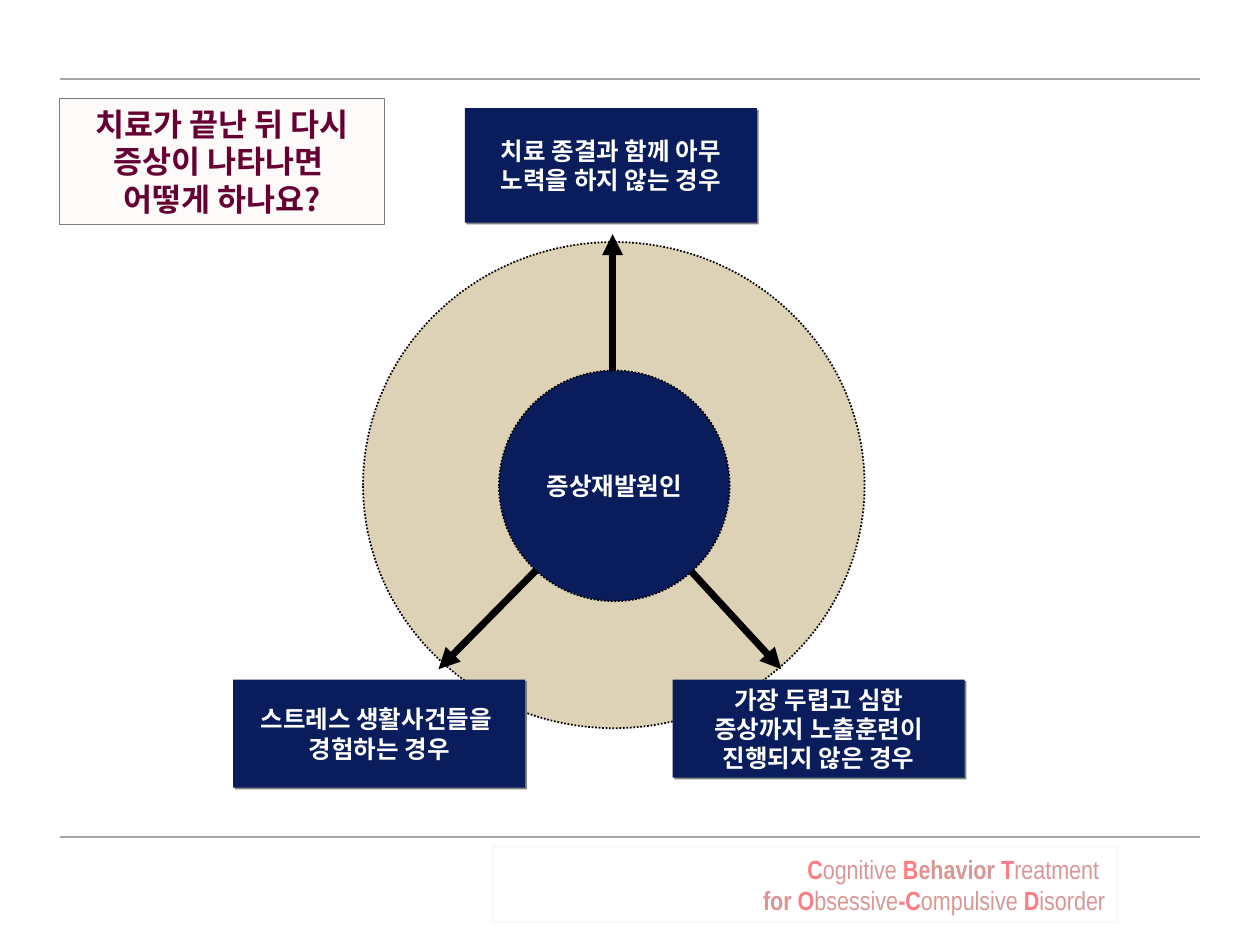
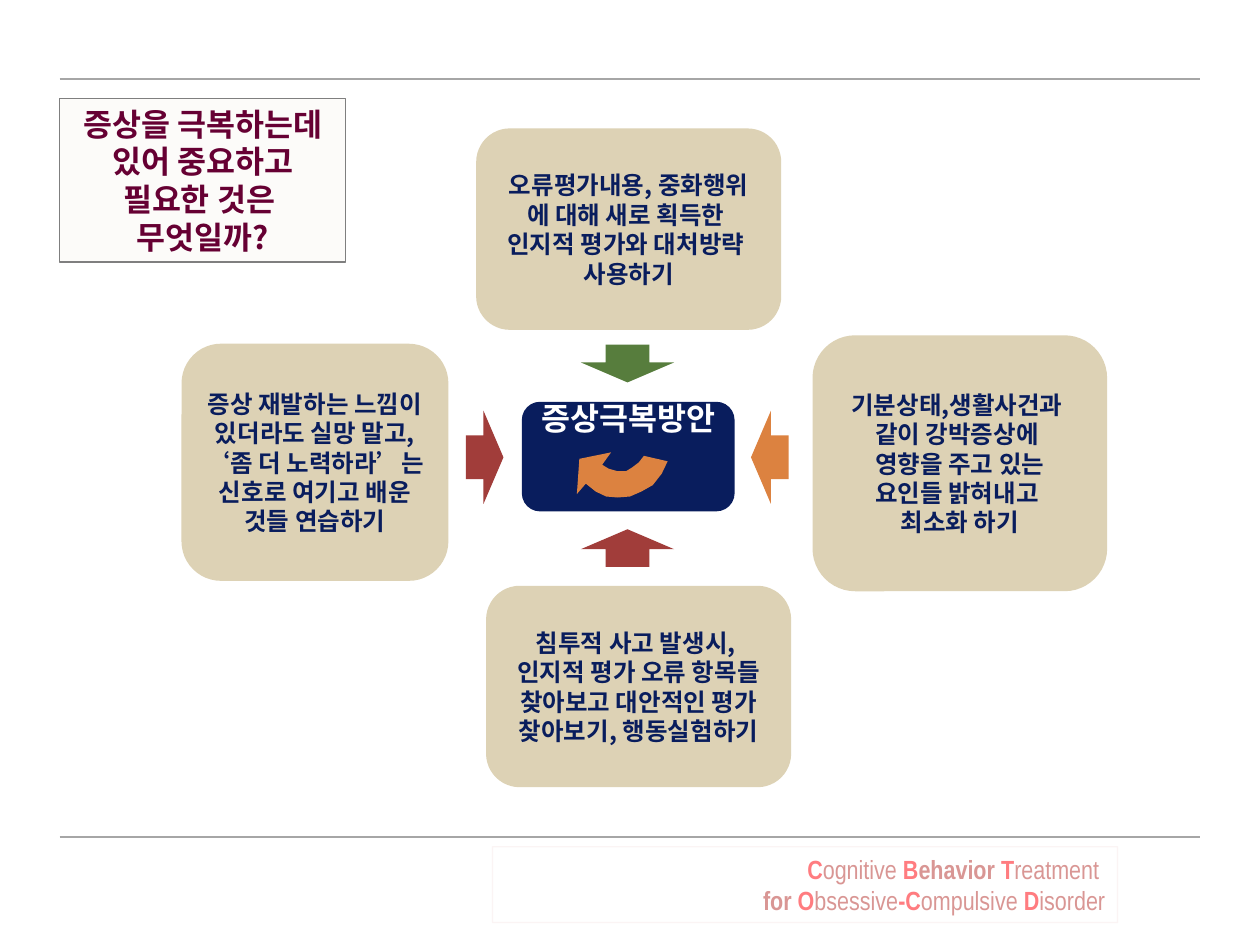
import lxml.etree
import pptx
import pptx.dml.color
import pptx.enum.dml
import pptx.enum.shapes
import pptx.enum.text
import pptx.oxml.ns
import pptx.util

Cm = pptx.util.Cm
Pt = pptx.util.Pt
RGB = pptx.dml.color.RGBColor.from_string
SHAPE = pptx.enum.shapes.MSO_SHAPE
ANCHOR = pptx.enum.text.MSO_ANCHOR
ALIGN = pptx.enum.text.PP_ALIGN
DOTTED = pptx.enum.dml.MSO_LINE.ROUND_DOT
qn = pptx.oxml.ns.qn
SubElement = lxml.etree.SubElement

COLOURS = {
    "navy": "091D5D", "sand": "DDD2B5", "white": "FFFFFF", "black": "000000",
    "rule": "A6A6A6", "title": "660033", "title_fill": "FCFBF9", "title_line": "7F7F7F",
    "initial": "FF7C80", "rose": "D99694", "shadow": "808080",
    "red": "A13D3A", "green": "577D3D", "orange": "DC8240",
}
KOREAN = "Noto Sans CJK KR"
LATIN = "Arial Narrow"


def write_lines(frame, lines, size, colour):
    """Fill a text frame with centred bold Korean paragraphs."""
    for number, line in enumerate(lines):
        paragraph = frame.add_paragraph() if number else frame.paragraphs[0]
        paragraph.text = line
        paragraph.alignment = ALIGN.CENTER
        font = paragraph.font
        font.size, font.bold, font.name = Pt(size), True, KOREAN
        font.color.rgb = RGB(COLOURS[colour])
        SubElement(font._rPr, qn("a:ea"), typeface=KOREAN)


def add_block(slide, preset, box, fill, lines=(), size=14, colour="white", wrap=False):
    """Add a flat filled shape; box is left, top, width, height in cm."""
    block = slide.shapes.add_shape(preset, *[Cm(length) for length in box])
    block.shadow.inherit = False
    block.fill.solid()
    block.fill.fore_color.rgb = RGB(COLOURS[fill])
    block.line.fill.background()
    frame = block.text_frame
    frame.word_wrap = wrap
    frame.vertical_anchor = ANCHOR.MIDDLE
    write_lines(frame, lines, size, colour)
    return block


deck = pptx.Presentation()
deck.slide_width, deck.slide_height = Cm(25.4), Cm(19.05)

# Title, rules and footer on both slides
questions = [
    (6.55, 2.54, ["치료가 끝난 뒤 다시 증상이 나타나면 ", "어떻게 하나요?"]),
    (5.77, 3.3, ["증상을 극복하는데 있어 중요하고 필요한 것은 ", "무엇일까?"]),
]
programme = [
    [("C", "initial", True), ("ognitive", "rose", False), (" B", "initial", True),
     ("ehavior", "rose", True), (" T", "initial", True), ("reatment ", "rose", False)],
    [("for", "rose", True), (" O", "initial", True), ("bsessive", "rose", False),
     ("-C", "initial", True), ("ompulsive", "rose", False), (" D", "initial", True),
     ("isorder", "rose", False)],
]
for width, height, question in questions:
    slide = deck.slides.add_slide(deck.slide_layouts[5])

    for y in (16.87, 1.6):
        rule = slide.shapes.add_connector(1, Cm(1.2), Cm(y), Cm(24.2), Cm(y))
        rule.line.color.rgb = RGB(COLOURS["rule"])
        rule.line.width = Pt(1.25)
        SubElement(rule._element.spPr, qn("a:effectLst"))

    footer = slide.shapes.add_textbox(Cm(9.93), Cm(17.07), Cm(12.6), Cm(1.53))
    footer.line.color.rgb = RGB(COLOURS["rose"])
    footer.line.width = Pt(0.75)
    line_colour = footer._element.spPr.find(".//" + qn("a:srgbClr"))
    SubElement(line_colour, qn("a:alpha"), val="10000")
    footer.text_frame.word_wrap = True
    for number, words in enumerate(programme):
        paragraph = footer.text_frame.add_paragraph() if number else footer.text_frame.paragraphs[0]
        paragraph.alignment = ALIGN.RIGHT
        paragraph.font.size, paragraph.font.name = Pt(15), LATIN
        for text, colour, bold in words:
            run = paragraph.add_run()
            run.text = text
            run.font.bold = bold
            run.font.color.rgb = RGB(COLOURS[colour])

    title = slide.shapes.title
    title.left, title.top, title.width, title.height = Cm(1.2), Cm(1.98), Cm(width), Cm(height)
    title.fill.solid()
    title.fill.fore_color.rgb = RGB(COLOURS["title_fill"])
    title.line.color.rgb = RGB(COLOURS["title_line"])
    title.line.width = Pt(0.75)
    title.text_frame.word_wrap = True
    title.text_frame.auto_size = pptx.enum.text.MSO_AUTO_SIZE.NONE
    title.text_frame.vertical_anchor = ANCHOR.TOP
    write_lines(title.text_frame, question, 18, "title")

relapse, coping = deck.slides

# Slide 1: causes of relapse around a ring
ring = add_block(relapse, SHAPE.OVAL, (7.32, 4.88, 10.11, 9.8), "sand")

causes = [
    (4.7, 13.7, 2.18, ["스트레스 생활사건들을 ", "경험하는 경우"]),
    (13.56, 13.7, 1.98, ["가장 두렵고 심한 증상까지 노출훈련이 진행되지 않은 경우"]),
    (9.37, 2.18, 2.31, ["치료 종결과 함께 아무 노력을 하지 않는 경우"]),
]
for left, top, height, lines in causes:
    cause = add_block(relapse, SHAPE.RECTANGLE, (left, top, 5.89, height), "navy", lines, wrap=True)
    frame = cause.text_frame
    frame.margin_top = frame.margin_bottom = Cm(0.25)
    frame.margin_left = frame.margin_right = Cm(0.4)
    effects = cause._element.spPr.find(qn("a:effectLst"))
    shadow = SubElement(effects, qn("a:outerShdw"), dist=str(Pt(1.4)), dir="2700000", algn="ctr", rotWithShape="0")
    SubElement(shadow, qn("a:srgbClr"), val=COLOURS["shadow"])

for x1, y1, x2, y2 in [(12.35, 9.73, 12.35, 4.72), (12.32, 9.96, 8.84, 13.49), (12.5, 9.96, 15.75, 13.49)]:
    spoke = relapse.shapes.add_connector(1, Cm(x1), Cm(y1), Cm(x2), Cm(y2))
    spoke.line.color.rgb = RGB(COLOURS["black"])
    spoke.line.width = Pt(4)
    SubElement(spoke.line._get_or_add_ln(), qn("a:tailEnd"), type="triangle")
    SubElement(spoke._element.spPr, qn("a:effectLst"))

core = add_block(relapse, SHAPE.OVAL, (10.06, 7.47, 4.65, 4.65), "navy", ["증상재발원인"])
for circle in (ring, core):
    circle.line.color.rgb = RGB(COLOURS["black"])
    circle.line.width = Pt(1)
    circle.line.dash_style = DOTTED

# Slide 2: four ways of coping around the hub
hub = add_block(coping, SHAPE.ROUNDED_RECTANGLE, (10.52, 8.1, 4.29, 2.21), "navy", ["증상극복방안"], size=18)
hub.text_frame.margin_top = 0
hub.text_frame.margin_bottom = Cm(1.57)

ways = [
    ((16.38, 6.76, 5.94, 5.16),
     ["기분상태,생활사건과 ", "같이 강박증상에 ", "영향을 주고 있는", "요인들 밝혀내고 ", "최소화 하기"]),
    ((3.66, 6.93, 5.38, 4.78),
     ["증상 재발하는 느낌이", "있더라도 실망 말고,", "‘좀 더 노력하라’는", "신호로 여기고 배운", "것들 연습하기"]),
    ((9.8, 11.81, 6.15, 4.06),
     ["침투적 사고 발생시, ", "인지적 평가 오류 항목들", "찾아보고 대안적인 평가", "찾아보기, 행동실험하기"]),
    ((9.6, 2.59, 6.15, 4.06),
     ["오류평가내용, 중화행위", "에 대해 새로 획득한 ", "인지적 평가와 대처방략 ", "사용하기"]),
]
for box, lines in ways:
    add_block(coping, SHAPE.ROUNDED_RECTANGLE, box, "sand", lines, colour="navy")

# Arrows pointing at the hub
span, depth = 1.88, 0.76
pointers = [
    (SHAPE.UP_ARROW, (11.71, 10.67, span, depth), "red"),
    (SHAPE.DOWN_ARROW, (11.71, 6.95, span, depth), "green"),
    (SHAPE.LEFT_ARROW, (15.14, 8.28, depth, span), "orange"),
    (SHAPE.RIGHT_ARROW, (9.39, 8.28, depth, span), "red"),
]
for preset, box, colour in pointers:
    pointer = add_block(coping, preset, box, colour)
    pointer.adjustments[0], pointer.adjustments[1] = 0.47, 0.53

# Curved return arrow inside the hub
curve = [
    (13.46, 9.3), (13.34, 9.55), (13.16, 9.78), (12.93, 9.91), (12.7, 10.01), (12.45, 10.03),
    (12.22, 10.01), (12.01, 9.91), (11.81, 9.75), (11.63, 9.96), (11.68, 9.25), (12.32, 9.12),
    (12.14, 9.37), (12.27, 9.45), (12.45, 9.5), (12.62, 9.5), (12.75, 9.42), (12.88, 9.32),
    (12.98, 9.19),
]
corners = [(Cm(x), Cm(y)) for x, y in curve]
outline = coping.shapes.build_freeform(*corners[0])
outline.add_line_segments(corners[1:], close=True)
return_arrow = outline.convert_to_shape()
return_arrow.shadow.inherit = False
return_arrow.fill.solid()
return_arrow.fill.fore_color.rgb = RGB(COLOURS["orange"])
return_arrow.line.fill.background()

deck.save("out.pptx")
